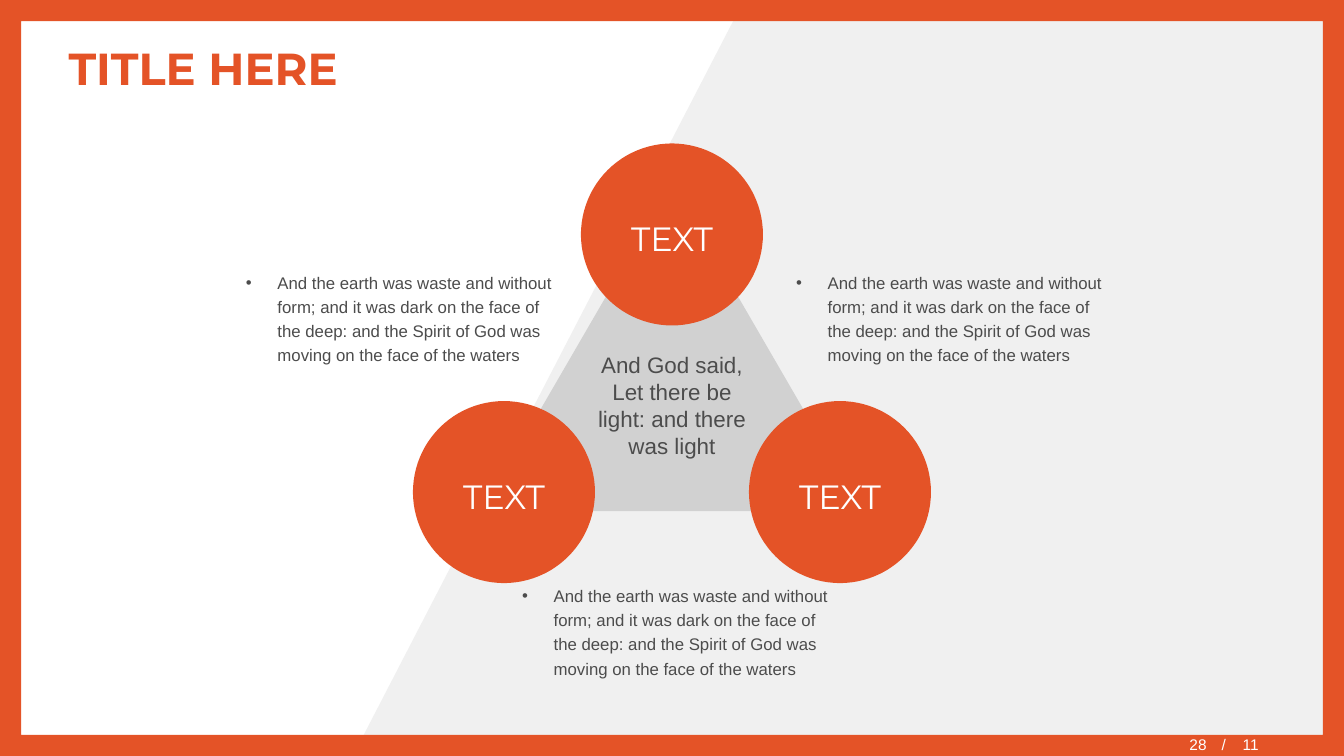
"""Build a slide with three labelled circles around a triangle and three short lists."""
from dataclasses import dataclass
from typing import NamedTuple

from lxml.etree import SubElement
from pptx import Presentation
from pptx.dml.color import RGBColor as Rgb
from pptx.enum.shapes import MSO_SHAPE as Preset
from pptx.enum.text import MSO_ANCHOR as Anchor, MSO_AUTO_SIZE as AutoSize, PP_ALIGN as Align
from pptx.oxml.ns import qn
from pptx.shapes.autoshape import Shape
from pptx.slide import Slide
from pptx.text.text import _Paragraph as Paragraph
from pptx.util import Pt


@dataclass(frozen=True)
class Theme:
    """Colours, fonts and type sizes of the slide."""
    accent: Rgb = Rgb.from_string("E45327")
    panel: Rgb = Rgb.from_string("F0F0F0")
    triangle: Rgb = Rgb.from_string("D1D1D1")
    ink: Rgb = Rgb.from_string("4C4C4C")
    white: Rgb = Rgb.from_string("FFFFFF")
    display: str = "Montserrat"
    body: str = "Arial"
    title_size: float = 32
    circle_size: float = 24
    verse_size: float = 16
    list_size: float = 12
    page_size: float = 11


class Box(NamedTuple):
    """Left, top, width and height in points."""
    left: float
    top: float
    width: float
    height: float


class Style(NamedTuple):
    """Look of one paragraph."""
    font: str
    size: float
    colour: Rgb
    align: Align = Align.LEFT
    bold: bool = False
    line_spacing: float = 1.0
    space_after: float = 0


class BulletList(NamedTuple):
    """Placeholder index and place of one list."""
    idx: int
    box: Box


THEME = Theme()
WIDTH, HEIGHT = 960, 540
CIRCLE = 130
INDENT = 22.5
PAGE_TAB = 15
TITLE = Style(THEME.display, THEME.title_size, THEME.accent, bold=True)
LABEL = Style(THEME.display, THEME.circle_size, THEME.white, Align.CENTER,
              line_spacing=1.2, space_after=2)
VERSE = Style(THEME.body, THEME.verse_size, THEME.ink, Align.CENTER)
ITEM = Style(THEME.body, THEME.list_size, THEME.ink, line_spacing=1.2, space_after=2)
PAGE = Style(THEME.body, THEME.page_size, THEME.white)

PANEL_CORNERS = [(531.5, 0), (WIDTH, 0), (WIDTH, HEIGHT), (252, HEIGHT)]
CIRCLE_CORNERS = [(415, 102.5), (295, 286.5), (535, 286.5)]
LISTS = [
    BulletList(1, Box(168.5, 188, 233.5, 77)),
    BulletList(2, Box(561.5, 188, 233.5, 77)),
    BulletList(3, Box(365.75, 412, 233.5, 77)),
]
LIST_TEXT = ("And the earth was waste and without form; and it was dark on the face of "
             "the deep: and the Spirit of God was moving on the face of the waters")


def place(shape: Shape, box: Box) -> None:
    """Move and size a shape."""
    shape.left, shape.top, shape.width, shape.height = map(Pt, box)


def paint(shape: Shape, colour: Rgb) -> None:
    """Give a shape a plain fill without line or shadow."""
    shape.shadow.inherit = False
    shape.fill.solid()
    shape.fill.fore_color.rgb = colour
    shape.line.fill.background()


def write(shape: Shape, text: str, style: Style, anchor: Anchor = Anchor.MIDDLE) -> Paragraph:
    """Set the text of a shape and format its only paragraph."""
    frame = shape.text_frame
    frame.text = text
    frame.word_wrap = True
    frame.auto_size = AutoSize.NONE
    frame.vertical_anchor = anchor
    paragraph = frame.paragraphs[0]
    paragraph.alignment = style.align
    paragraph.line_spacing = style.line_spacing
    paragraph.space_before = Pt(0)
    paragraph.space_after = Pt(style.space_after)
    for run in paragraph.runs:
        run.font.name = style.font
        run.font.size = Pt(style.size)
        run.font.bold = style.bold
        run.font.color.rgb = style.colour
    return paragraph


def add_preset(slide: Slide, preset: Preset, box: Box, colour: Rgb) -> Shape:
    """Add a painted preset shape."""
    shape = slide.shapes.add_shape(preset, *map(Pt, box))
    paint(shape, colour)
    return shape


def add_text(slide: Slide, box: Box, text: str, style: Style, anchor: Anchor) -> Shape:
    """Add a text box."""
    text_box = slide.shapes.add_textbox(*map(Pt, box))
    write(text_box, text, style, anchor)
    return text_box


def add_background(slide: Slide) -> None:
    """Draw the slanted panel and the frame around the slide."""
    start, *rest = [(Pt(x), Pt(y)) for x, y in PANEL_CORNERS]
    outline = slide.shapes.build_freeform(*start)
    outline.add_line_segments(rest, close=True)
    paint(outline.convert_to_shape(), THEME.panel)
    border = add_preset(slide, Preset.FRAME, Box(0, 0, WIDTH, HEIGHT), THEME.accent)
    border.adjustments[0] = 0.028


def add_title(slide: Slide) -> None:
    """Fill the title placeholder and bring it above the background."""
    title = slide.shapes.title
    place(title, Box(41.75, 20, 877, 57))
    write(title, "TITLE HERE", TITLE)
    slide.shapes.element.append(title.element)


def add_page_number(slide: Slide) -> None:
    """Write the page number and the page total."""
    total = add_text(slide, Box(865.5, 525.5, 94.5, 13), "/\t11", PAGE, Anchor.MIDDLE)
    properties = total.text_frame.paragraphs[0]._p.get_or_add_pPr()
    tabs = SubElement(properties, qn("a:tabLst"))
    SubElement(tabs, qn("a:tab"), pos=str(Pt(PAGE_TAB)), algn="l")
    number = add_text(slide, Box(682.5, 527, 186.5, 13), "28",
                      PAGE._replace(align=Align.RIGHT), Anchor.MIDDLE)
    number.text_frame.margin_top = 0


def add_diagram(slide: Slide) -> None:
    """Draw the triangle, its circles and the verse between them."""
    add_preset(slide, Preset.ISOSCELES_TRIANGLE, Box(344, 130.5, 272, 234.5), THEME.triangle)
    for left, top in CIRCLE_CORNERS:
        circle = add_preset(slide, Preset.OVAL, Box(left, top, CIRCLE, CIRCLE), THEME.accent)
        write(circle, "TEXT", LABEL)
    add_text(slide, Box(413.5, 247.5, 133, 85),
             "And God said, Let there be light: and there was light", VERSE, Anchor.TOP)


def add_list(slide: Slide, bullet_list: BulletList) -> None:
    """Fill one body placeholder with a bulleted paragraph."""
    body = slide.placeholders[bullet_list.idx]
    place(body, bullet_list.box)
    properties = write(body, LIST_TEXT, ITEM, Anchor.TOP)._p.get_or_add_pPr()
    properties.set("marL", str(Pt(INDENT)))
    properties.set("indent", str(-Pt(INDENT)))
    SubElement(properties, qn("a:buChar"), char="•")
    slide.shapes.element.append(body.element)


def main() -> None:
    """Build and save the slide."""
    deck = Presentation()
    deck.slide_width, deck.slide_height = Pt(WIDTH), Pt(HEIGHT)
    slide = deck.slides.add_slide(deck.slide_layouts.get_by_name("Comparison"))
    add_background(slide)
    add_title(slide)
    add_page_number(slide)
    add_diagram(slide)
    for bullet_list in LISTS:
        add_list(slide, bullet_list)
    spare = slide.placeholders[4].element
    spare.getparent().remove(spare)
    deck.save("out.pptx")


if __name__ == "__main__":
    main()
